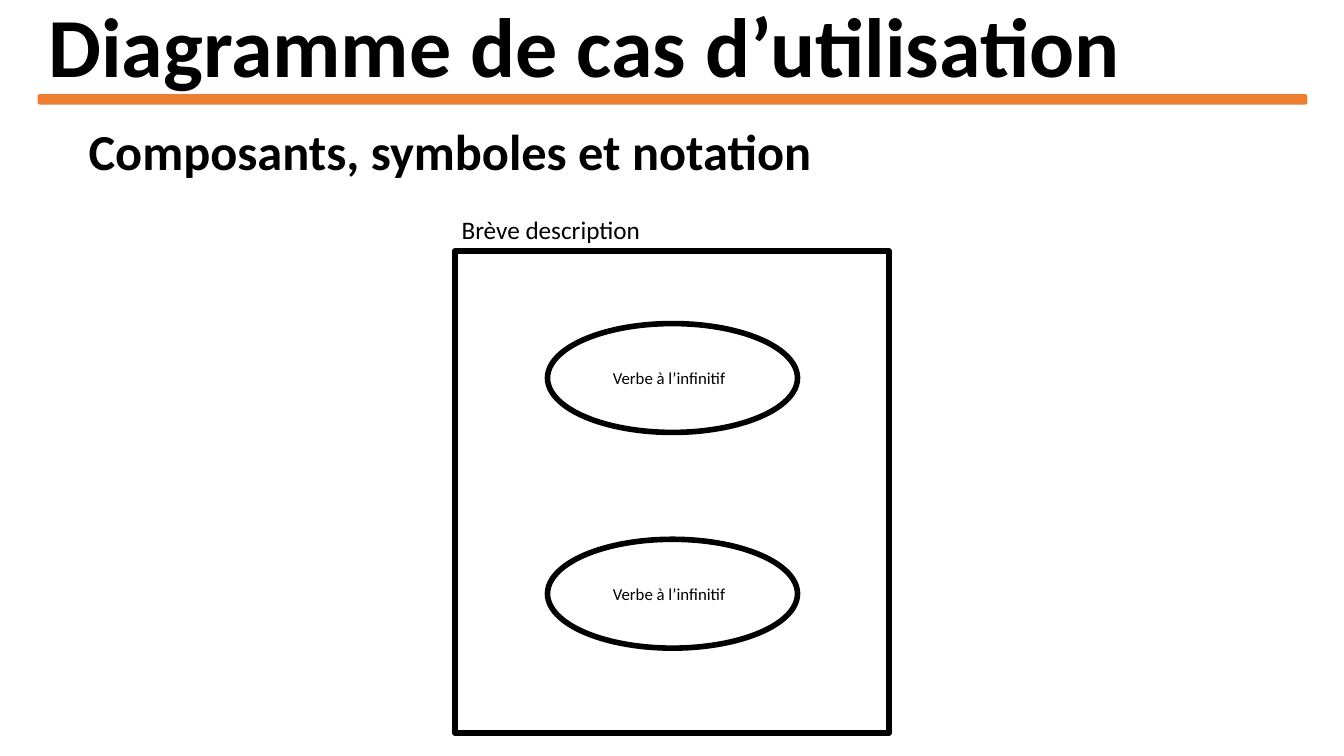
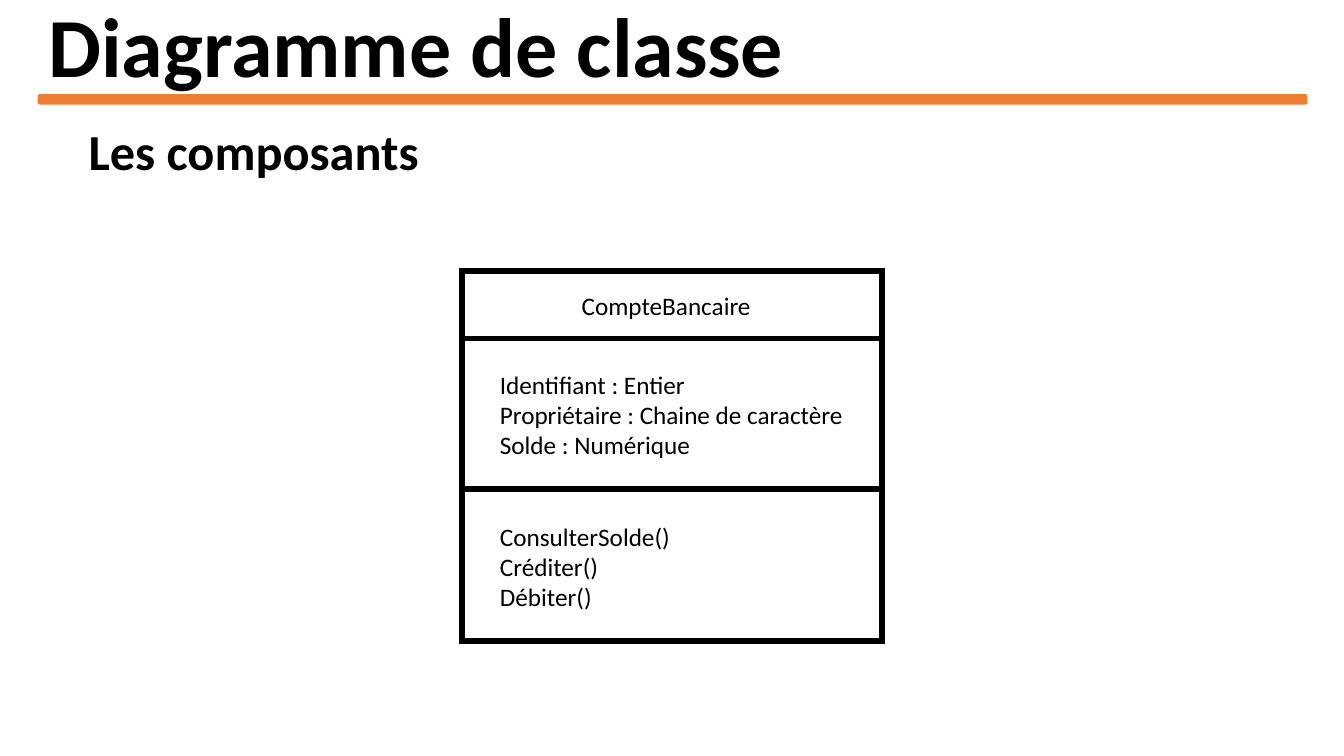
from dataclasses import dataclass

from lxml.etree import SubElement
from pptx import Presentation
from pptx.dml.color import RGBColor
from pptx.enum.shapes import MSO_CONNECTOR, MSO_SHAPE
from pptx.enum.text import MSO_ANCHOR, MSO_AUTO_SIZE, PP_ALIGN
from pptx.oxml.ns import qn
from pptx.util import Inches, Pt

# Shared style
BLACK = RGBColor(0x00, 0x00, 0x00)
WHITE = RGBColor(0xFF, 0xFF, 0xFF)
ORANGE = RGBColor(0xED, 0x7D, 0x31)
FONT = "Calibri"
OUTLINE_PT = 4


@dataclass(frozen=True)
class Box:
    left: float
    top: float
    width: float
    height: float

    def lengths(self) -> tuple:
        return tuple(map(Inches, (self.left, self.top, self.width, self.height)))


@dataclass(frozen=True)
class Label:
    box: Box
    lines: tuple[str, ...]
    size: int = 18


TITLE_BOX = Box(0.38, 0, 12.58, 1)
RULE_BOX = Box(0.38, 0.94, 12.58, 0.09)
SUBTITLE_BOX = Box(0.78, 1.14, 11.78, 0.71)


def style_paragraph(paragraph, size: int, bold: bool = False, align=PP_ALIGN.LEFT) -> None:
    paragraph.alignment = align
    font = paragraph.font
    font.name, font.size, font.bold = FONT, Pt(size), bold
    font.color.rgb = BLACK


def add_label(slide, label: Label, bold: bool = False, align=PP_ALIGN.LEFT) -> None:
    frame = slide.shapes.add_textbox(*label.box.lengths()).text_frame
    frame.word_wrap = True
    frame.text = "\n".join(label.lines)
    for paragraph in frame.paragraphs:
        style_paragraph(paragraph, label.size, bold, align)


def add_figure(slide, kind, box: Box, fill=None, line=BLACK, line_pt: float = OUTLINE_PT):
    figure = slide.shapes.add_shape(kind, *box.lengths())
    figure.shadow.inherit = False
    if fill is None:
        figure.fill.background()
    else:
        figure.fill.solid()
        figure.fill.fore_color.rgb = fill
    figure.line.color.rgb = line
    figure.line.width = Pt(line_pt)
    return figure


def add_divider(slide, left: float, right: float, y: float) -> None:
    divider = slide.shapes.add_connector(
        MSO_CONNECTOR.STRAIGHT, Inches(left), Inches(y), Inches(right), Inches(y))
    divider.line.color.rgb = BLACK
    divider.line.width = Pt(OUTLINE_PT)
    SubElement(divider.line._get_or_add_ln().getparent(), qn("a:effectLst"))


def add_headed_slide(prs, title: str, subtitle: str):
    slide = prs.slides.add_slide(prs.slide_layouts[5])
    heading = slide.shapes.title
    heading.left, heading.top, heading.width, heading.height = TITLE_BOX.lengths()
    frame = heading.text_frame
    frame.text = title
    frame.auto_size = MSO_AUTO_SIZE.NONE
    frame.vertical_anchor = MSO_ANCHOR.MIDDLE
    frame.paragraphs[0].line_spacing = 0.9
    style_paragraph(frame.paragraphs[0], 60, bold=True)
    add_label(slide, Label(SUBTITLE_BOX, (subtitle,), 36), bold=True, align=PP_ALIGN.JUSTIFY)
    add_figure(slide, MSO_SHAPE.ROUNDED_RECTANGLE, RULE_BOX, ORANGE, ORANGE, 1)
    return slide


def build_use_case_slide(prs) -> None:
    slide = add_headed_slide(prs, "Diagramme de cas d’utilisation",
                             "Composants, symboles et notation")
    # System boundary and its description
    add_figure(slide, MSO_SHAPE.RECTANGLE, Box(4.51, 2.49, 4.31, 4.78))
    add_label(slide, Label(Box(4.48, 2.08, 2.19, 0.4), ("Brève description",)))
    # Use cases
    for top in (3.21, 5.35):
        add_figure(slide, MSO_SHAPE.OVAL, Box(5.43, top, 2.48, 1.08))
        add_label(slide, Label(Box(5.98, top + 0.39, 1.38, 0.3), ("Verbe à l’infinitif",), 12))


def build_class_slide(prs) -> None:
    slide = add_headed_slide(prs, "Diagramme de classe", "Les composants")
    # Class frame with square corners, split into three compartments
    frame_box = Box(4.58, 2.69, 4.17, 3.67)
    class_frame = add_figure(slide, MSO_SHAPE.RECTANGLE, frame_box, WHITE)
    SubElement(class_frame.line._get_or_add_ln(), qn("a:miter"), lim="800000")
    for y in (3.36, 4.85):
        add_divider(slide, frame_box.left, frame_box.left + frame_box.width, y)
    # Name, attributes and operations
    compartments = (
        Label(Box(5.67, 2.83, 1.99, 0.4), ("CompteBancaire",)),
        Label(Box(4.86, 3.61, 3.74, 1.01),
              ("Identifiant : Entier", "Propriétaire : Chaine de caractère", "Solde : Numérique")),
        Label(Box(4.86, 5.12, 1.99, 1.01), ("ConsulterSolde()", "Créditer()", "Débiter()")),
    )
    for compartment in compartments:
        add_label(slide, compartment)


def main() -> None:
    prs = Presentation()
    prs.slide_width, prs.slide_height = Inches(13.33), Inches(7.5)
    build_use_case_slide(prs)
    build_class_slide(prs)
    prs.save("out.pptx")


if __name__ == "__main__":
    main()
